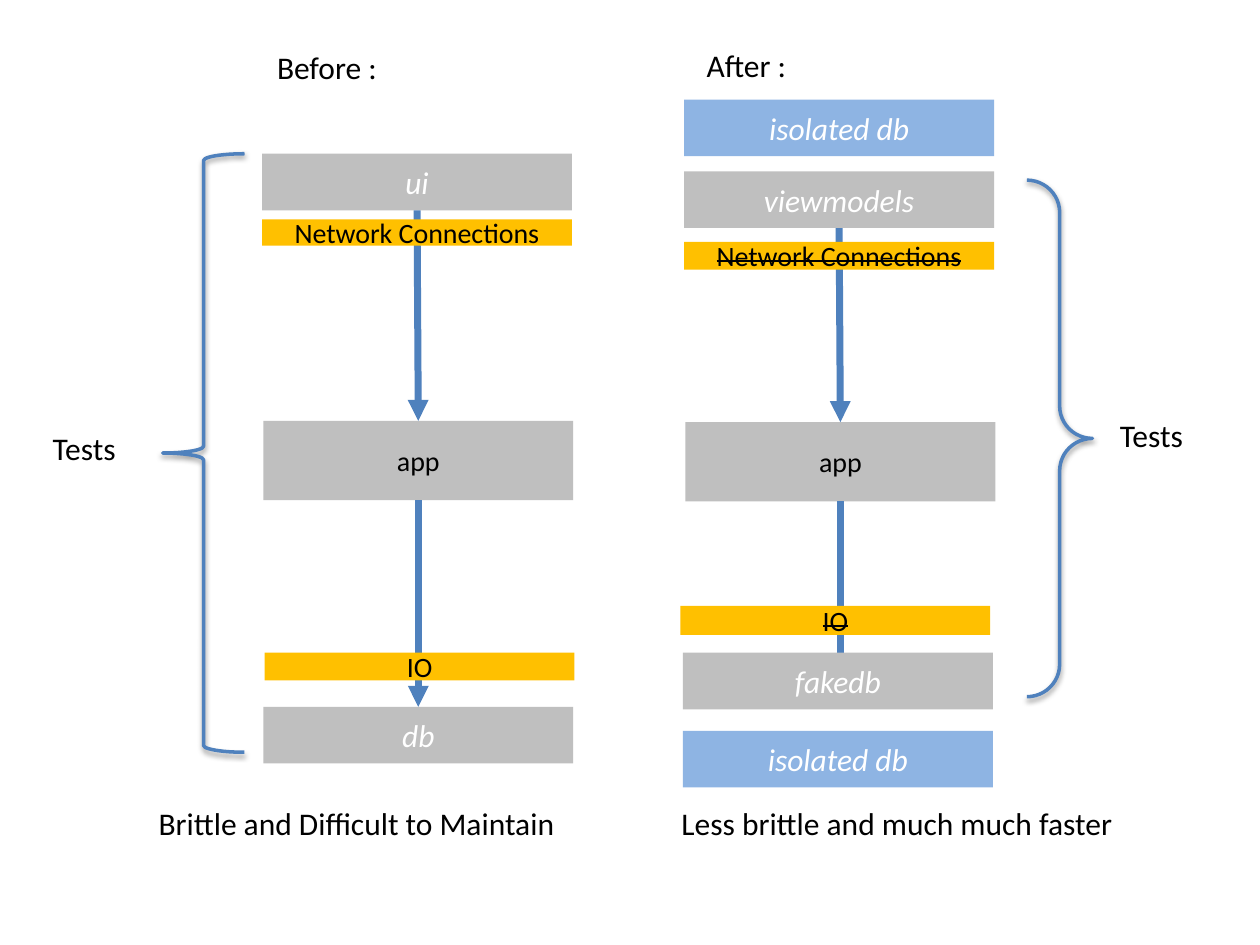
from dataclasses import dataclass
from typing import Optional

import pptx
import pptx.dml.color
import pptx.enum.shapes
import pptx.enum.text
import pptx.oxml
import pptx.oxml.ns
import pptx.util
from pptx.util import Inches

RGBColor = pptx.dml.color.RGBColor
Shapes = pptx.enum.shapes.MSO_SHAPE
BLACK = RGBColor(0x00, 0x00, 0x00)
WHITE = RGBColor(0xFF, 0xFF, 0xFF)
GREY = RGBColor(0xBF, 0xBF, 0xBF)
AMBER = RGBColor(0xFF, 0xC0, 0x00)
PALE_BLUE = RGBColor(0x8E, 0xB4, 0xE3)
BLUE = RGBColor(0x4F, 0x81, 0xBD)
FONT = "Calibri"
BOX_WIDTH = 2.46
NAMESPACE = pptx.oxml.ns.nsdecls("a")
BRACE_SHADOW = (
    f'<a:effectLst {NAMESPACE}><a:outerShdw blurRad="40000" dist="20000" '
    'dir="5400000" rotWithShape="0"><a:srgbClr val="000000">'
    '<a:alpha val="38000"/></a:srgbClr></a:outerShdw></a:effectLst>'
)


@dataclass(frozen=True)
class Style:
    fill: RGBColor
    color: RGBColor
    size: int
    italic: bool = False
    strike: bool = False


LAYER = Style(GREY, WHITE, 18, italic=True)
ISOLATED = Style(PALE_BLUE, WHITE, 18, italic=True)
APP = Style(GREY, BLACK, 16)
LINK = Style(AMBER, BLACK, 16)
REMOVED_LINK = Style(AMBER, BLACK, 16, strike=True)


@dataclass(frozen=True)
class Block:
    text: str
    left: float
    top: float
    height: float
    style: Style


@dataclass(frozen=True)
class Label:
    text: str
    left: float
    top: float
    width: float


@dataclass(frozen=True)
class Brace:
    left: float
    top: float
    width: float
    height: float
    rotation: int = 0
    curve: Optional[float] = None


@dataclass(frozen=True)
class Stack:
    upper: Block
    app: Block
    lower: Block
    extras: tuple[Block, ...]
    reaches_lower_top: bool


STACKS = (
    Stack(
        Block("ui", 2.08, 1.22, 0.45, LAYER),
        Block("app", 2.09, 3.34, 0.63, APP),
        Block("db", 2.09, 5.61, 0.45, LAYER),
        (
            Block("Network Connections", 2.08, 1.74, 0.21, LINK),
            Block("IO", 2.1, 5.18, 0.22, LINK),
        ),
        True,
    ),
    Stack(
        Block("viewmodels", 5.43, 1.36, 0.45, LAYER),
        Block("app", 5.44, 3.35, 0.63, APP),
        Block("fakedb", 5.42, 5.18, 0.45, LAYER),
        (
            Block("isolated db", 5.42, 5.8, 0.45, ISOLATED),
            Block("isolated db", 5.43, 0.79, 0.45, ISOLATED),
            Block("Network Connections", 5.43, 1.92, 0.22, REMOVED_LINK),
            Block("IO", 5.4, 4.81, 0.23, REMOVED_LINK),
        ),
        False,
    ),
)
BRACES = (
    Brace(1.29, 1.22, 0.65, 4.75, rotation=180),
    Brace(8.15, 1.43, 0.52, 4.1, curve=0.495),
)
LABELS = (
    Label("Before :", 2.1, 0.33, 2.89),
    Label("After :", 5.51, 0.32, 2.89),
    Label("Tests", 0.32, 3.36, 0.84),
    Label("Tests", 8.79, 3.25, 0.95),
    Label("Brittle and Difficult to Maintain", 1.16, 6.33, 3.62),
    Label("Less brittle and much much faster", 5.31, 6.33, 3.95),
)


def format_text(box, text: str, size: int, color: RGBColor):
    box.text_frame.text = text
    span = box.text_frame.paragraphs[0].runs[0]
    span.font.name = FONT
    span.font.size = pptx.util.Pt(size)
    span.font.color.rgb = color
    return span


def draw_block(page, block: Block):
    box = page.shapes.add_shape(
        Shapes.RECTANGLE, Inches(block.left), Inches(block.top),
        Inches(BOX_WIDTH), Inches(block.height),
    )
    box.shadow.inherit = False
    box.fill.solid()
    box.fill.fore_color.rgb = block.style.fill
    box.line.fill.background()
    box.text_frame.vertical_anchor = pptx.enum.text.MSO_ANCHOR.MIDDLE
    span = format_text(box, block.text, block.style.size, block.style.color)
    box.text_frame.paragraphs[0].alignment = pptx.enum.text.PP_ALIGN.CENTER
    if block.style.italic:
        span.font.italic = True
    if block.style.strike:
        span._r.get_or_add_rPr().set("strike", "sngStrike")
    return box


def draw_arrow(page, source, x: float, y: float):
    arrow = page.shapes.add_connector(
        pptx.enum.shapes.MSO_CONNECTOR.STRAIGHT, 0, 0, Inches(x), Inches(y)
    )
    arrow.begin_connect(source, 2)
    arrow.line.color.rgb = BLUE
    arrow.line.width = pptx.util.Pt(4)
    arrow.line._get_or_add_ln().append(
        pptx.oxml.parse_xml(f'<a:tailEnd {NAMESPACE} type="triangle"/>')
    )
    arrow._element.spPr.append(pptx.oxml.parse_xml(f"<a:effectLst {NAMESPACE}/>"))
    return arrow


def draw_stack(page, stack: Stack) -> None:
    upper = draw_block(page, stack.upper)
    app = draw_block(page, stack.app)
    middle = stack.app.left + BOX_WIDTH / 2
    draw_arrow(page, upper, middle, stack.app.top).end_connect(app, 0)
    lower_arrow = draw_arrow(page, app, middle, 5.62)
    lower = draw_block(page, stack.lower)
    if stack.reaches_lower_top:
        lower_arrow.end_connect(lower, 0)
    for block in stack.extras:
        draw_block(page, block)


def draw_brace(page, brace: Brace) -> None:
    shape = page.shapes.add_shape(
        Shapes.RIGHT_BRACE, Inches(brace.left), Inches(brace.top),
        Inches(brace.width), Inches(brace.height),
    )
    shape.rotation = brace.rotation
    if brace.curve is not None:
        shape.adjustments[0] = brace.curve
    shape.fill.background()
    shape.line.color.rgb = BLUE
    shape.line.width = pptx.util.Pt(2)
    shape._element.spPr.append(pptx.oxml.parse_xml(BRACE_SHADOW))


def draw_label(page, label: Label) -> None:
    box = page.shapes.add_textbox(
        Inches(label.left), Inches(label.top), Inches(label.width), Inches(0.4)
    )
    box.text_frame.word_wrap = True
    box.text_frame.auto_size = pptx.enum.text.MSO_AUTO_SIZE.SHAPE_TO_FIT_TEXT
    format_text(box, label.text, 18, BLACK)


def main() -> None:
    deck = pptx.Presentation()
    deck.slide_width, deck.slide_height = Inches(10), Inches(7.5)
    page = deck.slides.add_slide(deck.slide_layouts[6])
    for stack in STACKS:
        draw_stack(page, stack)
    for brace in BRACES:
        draw_brace(page, brace)
    for label in LABELS:
        draw_label(page, label)
    deck.save("out.pptx")


if __name__ == "__main__":
    main()
